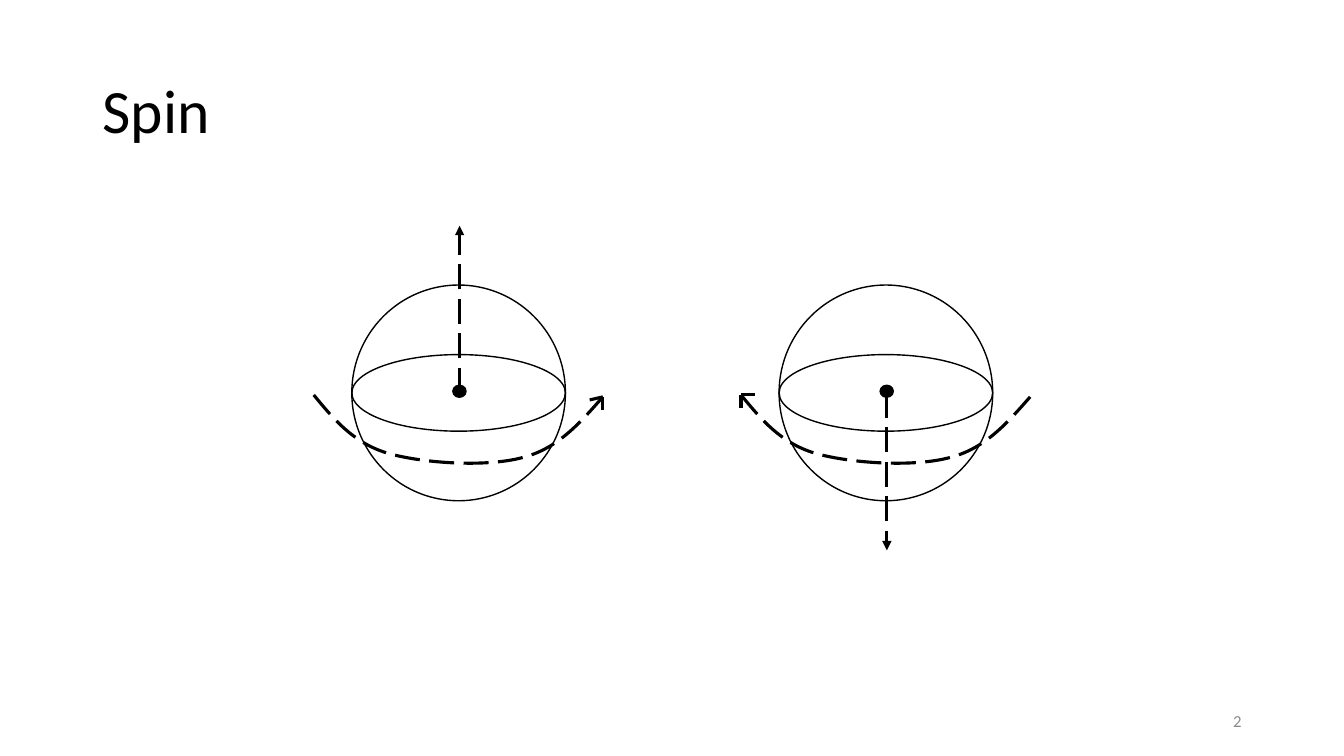
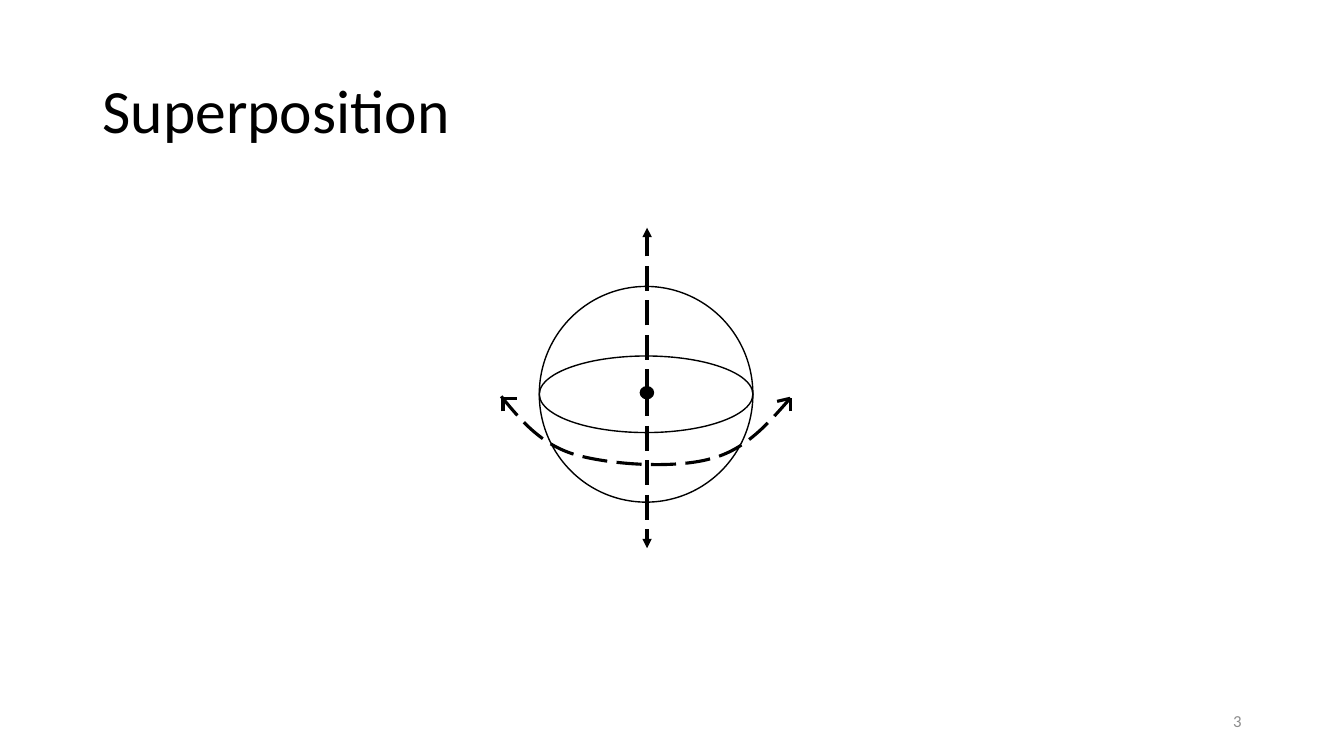
import pptx
import pptx.dml.color
import pptx.enum.dml
import pptx.enum.shapes
import pptx.enum.text
import pptx.oxml.ns
import pptx.util
from lxml import etree

Pt = pptx.util.Pt
qn = pptx.oxml.ns.qn
ALIGN = pptx.enum.text.PP_ALIGN
BLACK = pptx.dml.color.RGBColor(0x00, 0x00, 0x00)
GREY = pptx.dml.color.RGBColor(0x8C, 0x8C, 0x8C)
FONT = "Calibri"
THIN, THICK = 1, 2.25
TITLE_ONLY = 5

# Sphere geometry in points, relative to the top left of the sphere
SPHERE_WIDTH, SPHERE_HEIGHT = 152.6, 154.1
EQUATOR_TOP, EQUATOR_HEIGHT = 49.7, 54.7
DOT_LEFT, DOT_TOP, DOT_WIDTH, DOT_HEIGHT = 72.2, 71.6, 9.4, 8.6
AXIS_X = 77
# Start of the orbit, then two control points and an end for each curve
ORBIT = [
    (-27.2, 78.5),
    (-13, 95.8), (1.4, 113), (25.9, 120.2),
    (51.1, 127.4), (96.5, 130.3), (122.4, 123.1),
    (147.6, 116.6), (163.4, 97.9), (179.3, 79.9),
]
ORBIT_HEIGHT = 49
# Arrow tips of the orbit: the tip, then the offsets of its two barbs
RIGHT_TIP = ((179.3, 79.9), ((-9.4, 2.2), (0, 9.4)))
LEFT_TIP = ((-27.2, 78.5), ((9.7, 0), (0, 9.4)))
LEFT_TIP_INNER = ((-25.9, 79.9), LEFT_TIP[1])


def write_text(shape, text, *, size, color, align=ALIGN.LEFT, line_spacing=1.0):
    frame = shape.text_frame
    frame.word_wrap = True
    frame.auto_size = pptx.enum.text.MSO_AUTO_SIZE.NONE
    frame.vertical_anchor = pptx.enum.text.MSO_ANCHOR.MIDDLE
    paragraph = frame.paragraphs[0]
    paragraph.alignment = align
    paragraph.line_spacing = line_spacing
    run = paragraph.add_run()
    run.text = text
    run.font.name = FONT
    run.font.size = Pt(size)
    run.font.color.rgb = color


def add_titled_slide(presentation, title, number):
    slide = presentation.slides.add_slide(presentation.slide_layouts[TITLE_ONLY])
    placeholder = slide.shapes.title
    placeholder.left, placeholder.top = Pt(66), Pt(28.75)
    placeholder.width, placeholder.height = Pt(828), Pt(104.4)
    write_text(placeholder, title, size=44, color=BLACK, line_spacing=0.9)
    number_box = slide.shapes.add_textbox(Pt(678), Pt(500.5), Pt(216), Pt(28.75))
    write_text(number_box, str(number), size=12, color=GREY, align=ALIGN.RIGHT)
    return slide


def format_line(line, width, dashed=False):
    line.color.rgb = BLACK
    line.width = Pt(width)
    if dashed:
        line.dash_style = pptx.enum.dml.MSO_LINE.LONG_DASH


def add_ellipse(slide, left, top, width, height, filled=False):
    shape = slide.shapes.add_shape(
        pptx.enum.shapes.MSO_SHAPE.OVAL, Pt(left), Pt(top), Pt(width), Pt(height))
    shape.shadow.inherit = False
    if filled:
        shape.fill.solid()
        shape.fill.fore_color.rgb = BLACK
    else:
        shape.fill.background()
    format_line(shape.line, THIN)


def add_line(slide, start, end, dashed=False, arrow=False):
    connector = slide.shapes.add_connector(
        pptx.enum.shapes.MSO_CONNECTOR.STRAIGHT, *map(Pt, (*start, *end)))
    format_line(connector.line, THICK, dashed)
    if arrow:
        tail = etree.SubElement(connector.line._get_or_add_ln(), qn("a:tailEnd"))
        tail.set("type", "triangle")
    etree.SubElement(connector._element.spPr, qn("a:effectLst"))


def bend_outline(shape, height):
    """Turn each three line segments into one cubic curve; fit the height."""
    outline = next(shape._element.iter(qn("a:path")))
    segments = outline.findall(qn("a:lnTo"))
    for index in range(0, len(segments), 3):
        curve = etree.SubElement(outline, qn("a:cubicBezTo"))
        for segment in segments[index:index + 3]:
            curve.append(segment[0])
            outline.remove(segment)
    outline.set("h", str(height))
    shape.height = height


def add_orbit(slide, left, top):
    points = [(Pt(left + x), Pt(top + y)) for x, y in ORBIT]
    builder = slide.shapes.build_freeform(*points[0])
    builder.add_line_segments(points[1:], close=False)
    shape = builder.convert_to_shape()
    bend_outline(shape, Pt(ORBIT_HEIGHT))
    shape.shadow.inherit = False
    shape.fill.background()
    format_line(shape.line, THICK, dashed=True)


def add_spin(slide, left, top, axes, tips):
    """Draw a sphere; axes are (start, end) heights, tips mark orbit ends."""
    add_ellipse(slide, left, top, SPHERE_WIDTH, SPHERE_HEIGHT)
    add_ellipse(slide, left, top + EQUATOR_TOP, SPHERE_WIDTH, EQUATOR_HEIGHT)
    add_ellipse(slide, left + DOT_LEFT, top + DOT_TOP, DOT_WIDTH, DOT_HEIGHT, filled=True)
    add_orbit(slide, left, top)
    for (x, y), barbs in tips:
        tip = (left + x, top + y)
        for dx, dy in barbs:
            add_line(slide, (tip[0] + dx, tip[1] + dy), tip)
    for start, end in axes:
        add_line(slide, (left + AXIS_X, top + start), (left + AXIS_X, top + end),
                 dashed=True, arrow=True)


def main():
    presentation = pptx.Presentation()
    presentation.slide_width, presentation.slide_height = Pt(960), Pt(540)

    spin = add_titled_slide(presentation, "Spin", 2)
    add_spin(spin, 251.3, 203.6, axes=[(77, -42.3)], tips=[RIGHT_TIP])
    add_spin(spin, 556.5, 203.6, axes=[(77, 189.5)], tips=[LEFT_TIP])

    superposition = add_titled_slide(presentation, "Superposition", 3)
    add_spin(superposition, 385.2, 204.6, axes=[(77, -42), (75, 187)],
             tips=[RIGHT_TIP, LEFT_TIP_INNER])

    presentation.save("out.pptx")


if __name__ == "__main__":
    main()
